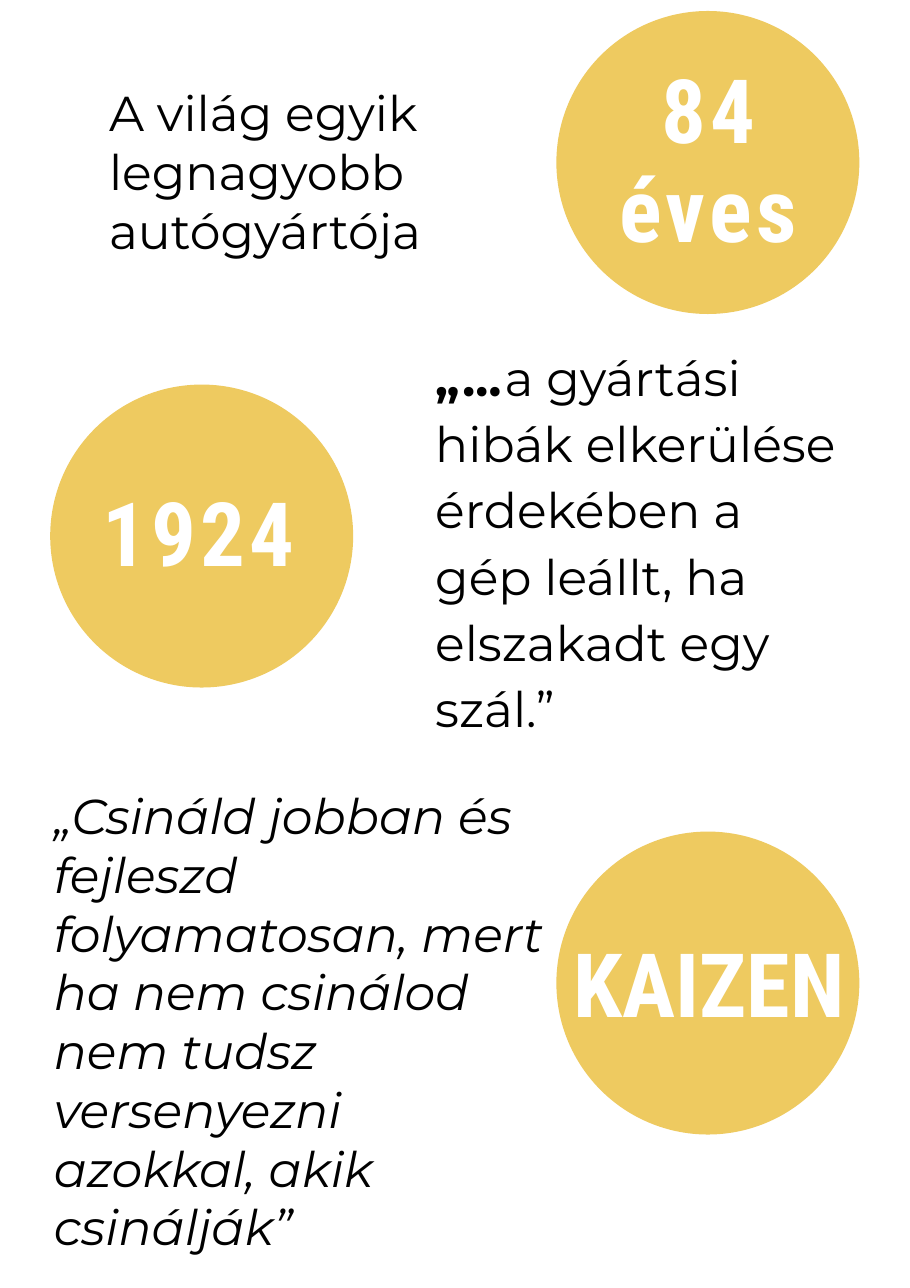
"""Builds a portrait slide of three gold circles with facts beside them."""
from pptx import Presentation
from pptx.dml.color import RGBColor
from pptx.enum.shapes import MSO_SHAPE as Preset
from pptx.enum.text import PP_ALIGN as Align
from pptx.util import Pt


def color(hex_code):
    return RGBColor.from_string(hex_code)


def add_words(box, inset, paragraphs, text_format, ink, line_format, tracking=0):
    left, top, width, height = (Pt(length) for length in box)
    frame = slide.shapes.add_textbox(left, top, width, height).text_frame
    frame.word_wrap = True
    frame.margin_left = frame.margin_right = Pt(2 * inset)
    frame.margin_top = frame.margin_bottom = Pt(inset)
    for index, words in enumerate(paragraphs):
        paragraph = frame.paragraphs[0] if index == 0 else frame.add_paragraph()
        for key, value in line_format.items():
            setattr(paragraph, key, value)
        paragraph.text = words
        for run in paragraph.runs:
            for key, value in text_format.items():
                setattr(run.font, key, value)
            run.font.color.rgb = color(ink)
            if tracking:
                run.font._element.set("spc", str(tracking))
    return frame.paragraphs[0]


GOLD, WHITE, BLACK = "EECA60", "FFFFFF", "000000"
DIAMETER, LEFT_CIRCLE, RIGHT_CIRCLE = 198, 32.8, 363.6

deck = Presentation()
deck.slide_width, deck.slide_height = Pt(594.72), Pt(841.68)
slide = deck.slides.add_slide(deck.slide_layouts[6])

for left, top in [(RIGHT_CIRCLE, 7.2), (LEFT_CIRCLE, 251.3), (RIGHT_CIRCLE, 543.4)]:
    circle = slide.shapes.add_shape(Preset.OVAL, Pt(left), Pt(top), Pt(DIAMETER), Pt(DIAMETER))
    circle.shadow.inherit = False
    circle.fill.solid()
    circle.fill.fore_color.rgb = color(GOLD)
    circle.line.fill.background()

body = {"name": "Montserrat", "size": Pt(32), "bold": False}
slogan = {**body, "italic": True}
label = {"name": "Roboto Condensed", "size": Pt(58), "bold": True}
centered = {"alignment": Align.CENTER, "line_spacing": Pt(65)}

add_words((71.3, 54, 391.7, 159.8), 0, ["A világ egyik legnagyobb autógyártója"], body, BLACK, {})
add_words((382.3, 40.3, 161.3, 131), 0, ["84", "éves"], label, WHITE, centered, 290)
add_words((49, 316.8, 161.3, 67), 0, ["1924"], label, WHITE, centered, 290)

quote = add_words((284.4, 222.5, 262, 255.6), 0, ["„…"], {**body, "bold": True}, BLACK,
                  {"line_spacing": Pt(43.2)}, 190)
quote_rest = quote.add_run()
quote_rest.text = "a gyártási hibák elkerülése érdekében a gép leállt, ha elszakadt egy szál.”"
for key, value in body.items():
    setattr(quote_rest.font, key, value)
quote_rest.font.color.rgb = color(BLACK)

add_words((28.1, 509.8, 339.8, 278.6), 3.6,
          ["„Csináld jobban és fejleszd folyamatosan, mert\vha nem csinálod nem tudsz "
           "versenyezni azokkal, akik csinálják”"], slogan, BLACK, {})
add_words((367.9, 603.4, 207.4, 77.8), 3.6, ["KAIZEN"], label, WHITE, {})

deck.save("out.pptx")
